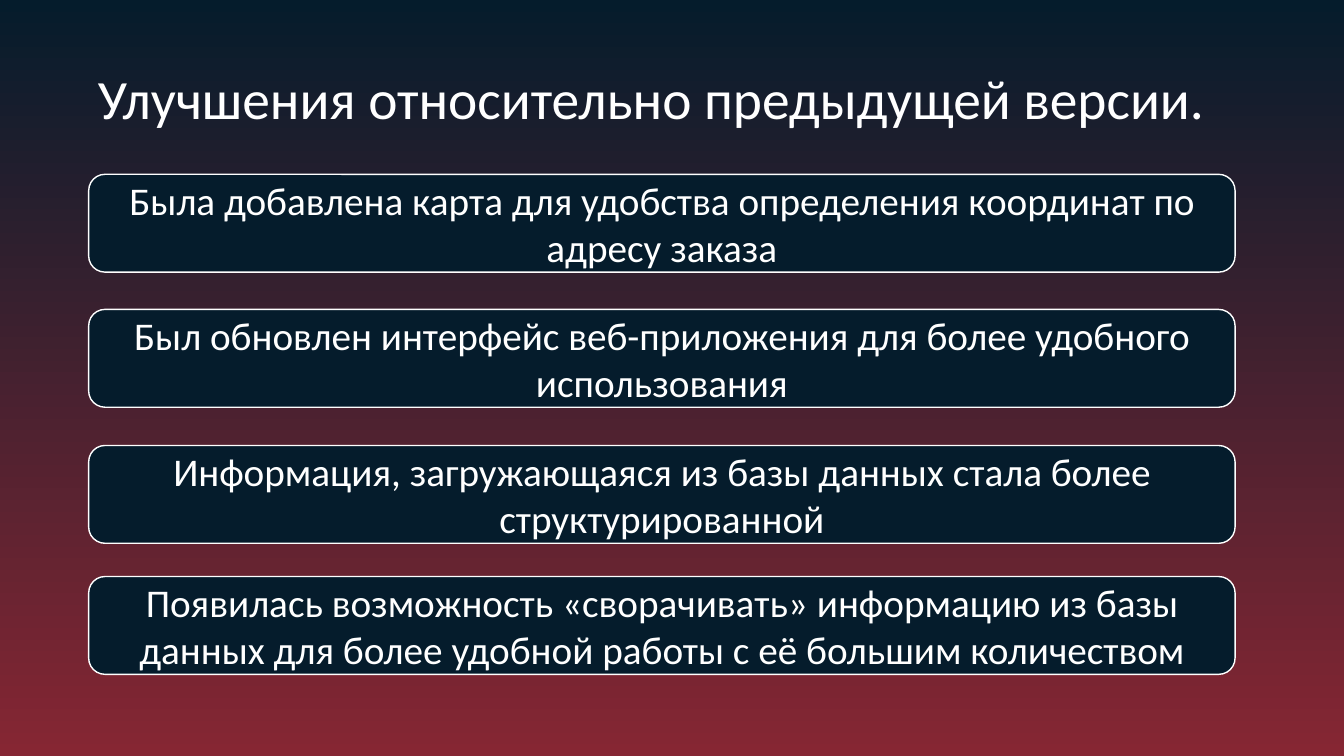
import pptx
import pptx.dml.color
import pptx.enum.shapes
import pptx.enum.text
import pptx.util
from pptx.util import Inches

NAVY = "051C2C"
RED = "862633"
WHITE = "FFFFFF"

TITLE = "Улучшения относительно предыдущей версии."
IMPROVEMENTS = [
    (1.73, "Была добавлена карта для удобства определения координат по адресу заказа"),
    (3.07, "Был обновлен интерфейс веб-приложения для более удобного использования"),
    (4.42, "Информация, загружающаяся из базы данных стала более структурированной"),
    (5.72, "Появилась возможность «сворачивать» информацию из базы данных "
           "для более удобной работы с её большим количеством"),
]


def color(value):
    return pptx.dml.color.RGBColor.from_string(value)


def set_gradient_background(slide, top_color, bottom_color):
    fill = slide.background.fill
    fill.gradient()
    fill.gradient_angle = 270
    for stop, position, value in zip(fill.gradient_stops, (0, 1), (top_color, bottom_color)):
        stop.position = position
        stop.color.rgb = color(value)


def write_centered(shape, text, size):
    text_frame = shape.text_frame
    text_frame.text = text
    text_frame.word_wrap = True
    text_frame.vertical_anchor = pptx.enum.text.MSO_ANCHOR.MIDDLE
    paragraph = text_frame.paragraphs[0]
    paragraph.alignment = pptx.enum.text.PP_ALIGN.CENTER
    font = paragraph.runs[0].font
    font.name = "Calibri"
    font.size = pptx.util.Pt(size)
    font.color.rgb = color(WHITE)
    return paragraph


def add_title(slide, text):
    title = slide.shapes.add_textbox(Inches(0.71), Inches(0.28), Inches(11.5), Inches(1.45))
    paragraph = write_centered(title, text, 39.6)
    paragraph.line_spacing = 0.9


def add_improvement(slide, top, text):
    panel = slide.shapes.add_shape(
        pptx.enum.shapes.MSO_SHAPE.ROUNDED_RECTANGLE,
        Inches(0.88), Inches(top), Inches(11.37), Inches(0.97))
    panel.shadow.inherit = False
    panel.fill.solid()
    panel.fill.fore_color.rgb = color(NAVY)
    panel.line.color.rgb = color(WHITE)
    panel.line.width = pptx.util.Pt(1)
    write_centered(panel, text, 28)


def main():
    presentation = pptx.Presentation()
    presentation.slide_width = Inches(13.33)
    presentation.slide_height = Inches(7.5)
    slide = presentation.slides.add_slide(presentation.slide_layouts[6])
    set_gradient_background(slide, NAVY, RED)
    add_title(slide, TITLE)
    for top, text in IMPROVEMENTS:
        add_improvement(slide, top, text)
    presentation.save("out.pptx")


if __name__ == "__main__":
    main()
